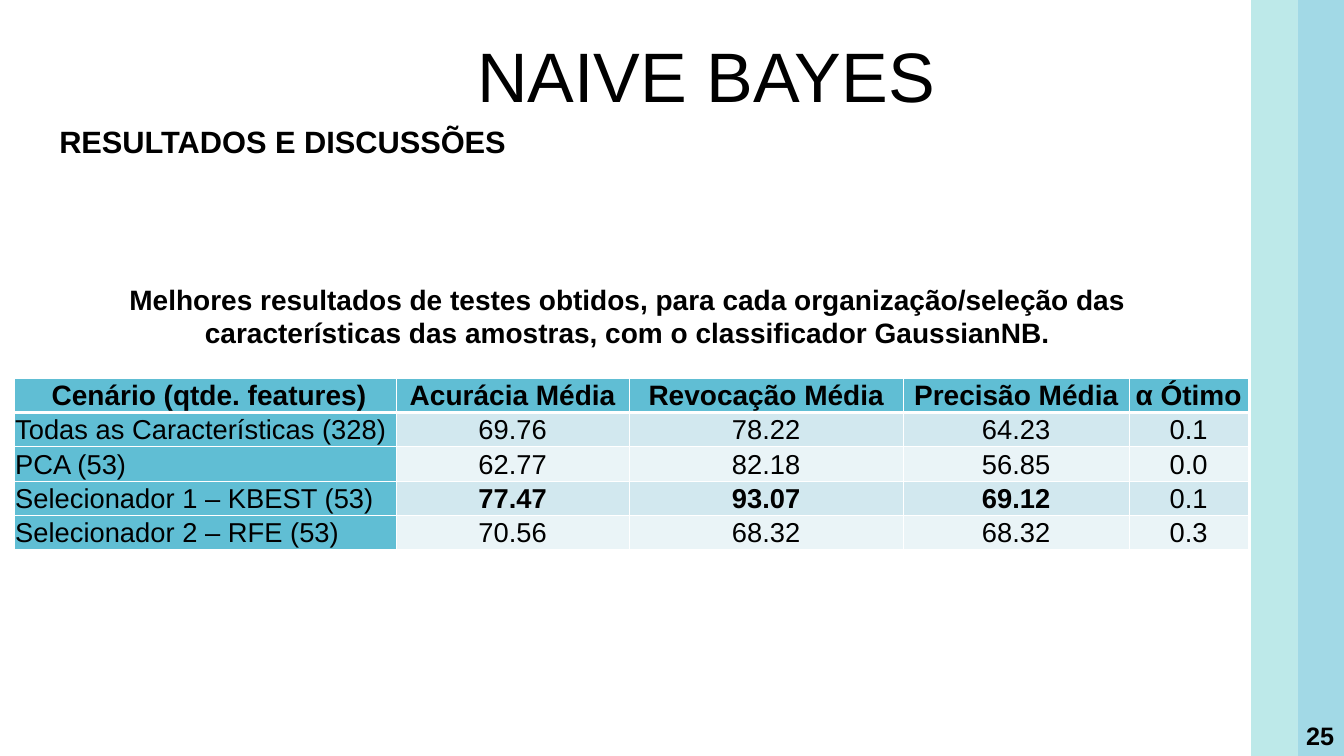
from dataclasses import dataclass

from lxml.etree import SubElement
from pptx import Presentation
from pptx.dml.color import RGBColor
from pptx.enum.shapes import MSO_SHAPE
from pptx.enum.text import MSO_ANCHOR, PP_ALIGN
from pptx.oxml.ns import qn
from pptx.util import Inches, Pt

TITLE = "NAIVE BAYES"
TOPIC = "RESULTADOS E DISCUSSÕES"
NOTE = ("Melhores resultados de testes obtidos, para cada organização/seleção das "
        "características das amostras, com o classificador GaussianNB.")
PAGE = "25"
ROWS = [
    (" Cenário (qtde. features)", "Acurácia Média", "Revocação Média", "Precisão Média", "α Ótimo"),
    ("Todas as Características (328)", "69.76", "78.22", "64.23", "0.1"),
    ("PCA (53)", "62.77", "82.18", "56.85", "0.0"),
    ("Selecionador 1 – KBEST (53)", "77.47", "93.07", "69.12", "0.1"),
    ("Selecionador 2 – RFE (53)", "70.56", "68.32", "68.32", "0.3"),
]
BEST = {(3, 1), (3, 2), (3, 3)}
WIDTHS = (3.79, 2.31, 2.72, 2.24, 1.18)
HEIGHT = 0.34
BAND = 0.46
ALPHA = 58


@dataclass(frozen=True)
class Theme:
    font: str = "Arial"
    ink: str = "000000"
    white: str = "FFFFFF"
    blue: str = "60BED4"
    mint: str = "8EDADA"
    dark: str = "D2E8EF"
    light: str = "EAF4F7"
    title: float = 50
    topic: float = 22
    head: float = 20
    body: float = 19.5
    page: float = 18


LOOK = Theme()
deck = Presentation()
deck.slide_width, deck.slide_height = Inches(13.33), Inches(7.5)
slide = deck.slides.add_slide(deck.slide_layouts[5])


def write(frame, text, size, bold=False, align=PP_ALIGN.LEFT, anchor=MSO_ANCHOR.TOP):
    frame.word_wrap = True
    frame.vertical_anchor = anchor
    para = frame.paragraphs[0]
    para.alignment = align
    run = para.add_run()
    run.text = text
    run.font.name = LOOK.font
    run.font.size = Pt(size)
    run.font.bold = bold
    run.font.color.rgb = RGBColor.from_string(LOOK.ink)
    return para


def box(place, text, size, **form):
    shape = slide.shapes.add_textbox(*map(Inches, place))
    write(shape.text_frame, text, size, **form)


def stripe(left, color):
    shape = slide.shapes.add_shape(MSO_SHAPE.RECTANGLE, Inches(left), 0, Inches(BAND), deck.slide_height)
    shape.shadow.inherit = False
    shape.line.fill.background()
    shape.fill.solid()
    shape.fill.fore_color.rgb = RGBColor.from_string(color)
    tone = shape.fill._xPr.find(qn("a:solidFill"))[0]
    SubElement(tone, qn("a:alpha"), val=str(ALPHA * 1000))


def border(cell, row):
    props = cell._tc.get_or_add_tcPr()
    for spot, side in enumerate(("lnL", "lnR", "lnT", "lnB")):
        thick = 3 if (row, side) in ((0, "lnB"), (1, "lnT")) else 1
        line = SubElement(props, qn("a:" + side), w=str(Pt(thick)))
        fill = SubElement(line, qn("a:solidFill"))
        SubElement(fill, qn("a:srgbClr"), val=LOOK.white)
        props.insert(spot, line)


def grid():
    frame = slide.shapes.add_table(len(ROWS), len(WIDTHS), Inches(0.14), Inches(3.75),
                                   Inches(sum(WIDTHS)), Inches(HEIGHT * len(ROWS)))
    table = frame.table
    for col, width in zip(table.columns, WIDTHS):
        col.width = Inches(width)
    for r, texts in enumerate(ROWS):
        table.rows[r].height = Inches(HEIGHT)
        for c, text in enumerate(texts):
            cell = table.cell(r, c)
            cell.margin_left = cell.margin_right = cell.margin_top = Inches(0.01)
            cell.margin_bottom = 0
            cell.vertical_anchor = MSO_ANCHOR.MIDDLE
            tint = LOOK.blue if r == 0 or c == 0 else (LOOK.light, LOOK.dark)[r % 2]
            cell.fill.solid()
            cell.fill.fore_color.rgb = RGBColor.from_string(tint)
            border(cell, r)
            write(cell.text_frame, text, LOOK.body if r else LOOK.head,
                  bold=r == 0 or (r, c) in BEST,
                  align=PP_ALIGN.LEFT if r and c == 0 else PP_ALIGN.CENTER,
                  anchor=MSO_ANCHOR.MIDDLE)


def main():
    stripe(12.87, LOOK.blue)
    stripe(12.41, LOOK.mint)
    box((12.55, 7.1, 0.78, 0.4), PAGE, LOOK.page, bold=True,
        align=PP_ALIGN.RIGHT, anchor=MSO_ANCHOR.MIDDLE)
    title = slide.shapes.title
    title.left, title.top, title.width, title.height = map(Inches, (0.68, 0.37, 12.65, 0.79))
    para = write(title.text_frame, TITLE, LOOK.title, align=PP_ALIGN.CENTER)
    para.line_spacing = 0.9
    para.space_before = Pt(10)
    box((0.49, 1.17, 11.47, 1.58), TOPIC, LOOK.topic, bold=True)
    grid()
    box((0.49, 2.75, 11.47, 0.77), NOTE, LOOK.head, bold=True, align=PP_ALIGN.CENTER)
    deck.save("out.pptx")


if __name__ == "__main__":
    main()
